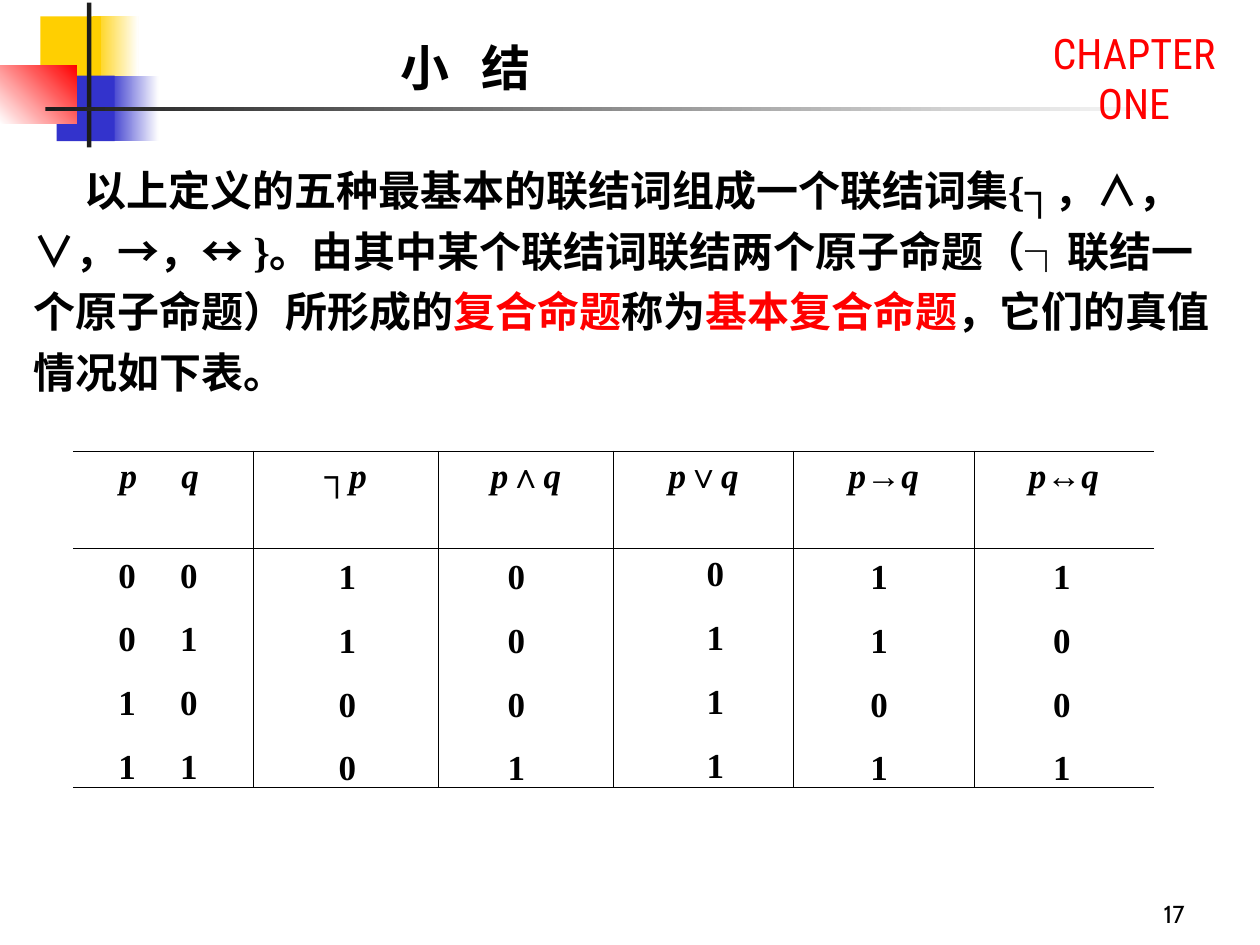
import dataclasses
import itertools

import pptx
import pptx.dml.color
import pptx.enum.shapes
import pptx.enum.text
import pptx.oxml.ns
import pptx.util
from lxml import etree

ALIGN = pptx.enum.text.PP_ALIGN
ANCHOR = pptx.enum.text.MSO_ANCHOR
COLUMNS, ROWS = 100, 75
UNIT = pptx.util.Inches(0.1)


@dataclasses.dataclass(frozen=True)
class Theme:
    """Colours, fonts and type sizes of the deck."""
    black: str = "000000"
    white: str = "FFFFFF"
    red: str = "FF0000"
    yellow: str = "FFCF01"
    blue: str = "3333CC"
    charcoal: str = "1C1C1C"
    serif: str = "Times New Roman"
    sans: str = "Cabin"
    narrow: str = "Roboto Condensed"
    title: int = 28
    body: int = 24
    table: int = 20
    number: int = 14
    rule: float = 0.45


THEME = Theme()


@dataclasses.dataclass(frozen=True)
class Box:
    """A rectangle in grid columns and rows."""
    left: float
    top: float
    width: float
    height: float

    def inside(self, left, top, width, height):
        """Return a box placed relative to this one."""
        return Box(self.left + left, self.top + top, width, height)

    def lengths(self):
        """Return left, top, width and height as slide lengths."""
        return [int(value * UNIT) for value in dataclasses.astuple(self)]


def colour(value):
    """Turn a hexadecimal value into a colour."""
    return pptx.dml.color.RGBColor.from_string(value)


def style_run(span, size, font, ink=THEME.black, bold=False, italic=False):
    """Format one run of text."""
    span.font.size = pptx.util.Pt(size)
    span.font.name = font
    span.font.color.rgb = colour(ink)
    span.font.bold = bold
    span.font.italic = italic


def set_tabs(para, *stops):
    """Give a paragraph left tab stops, in grid columns."""
    tab_list = etree.SubElement(para._p.get_or_add_pPr(), pptx.oxml.ns.qn("a:tabLst"))
    for stop in stops:
        etree.SubElement(tab_list, pptx.oxml.ns.qn("a:tab"), pos=str(int(stop * UNIT)), algn="l")


def add_text(page, box, text, anchor=ANCHOR.TOP):
    """Add a wrapping text box and return its text frame."""
    frame = page.shapes.add_textbox(*box.lengths()).text_frame
    frame.word_wrap = True
    frame.vertical_anchor = anchor
    frame.text = text
    return frame


def add_block(page, box, first, last=None, angle=0):
    """Add a borderless rectangle, plain or with a two-colour gradient."""
    block = page.shapes.add_shape(pptx.enum.shapes.MSO_SHAPE.RECTANGLE, *box.lengths())
    block.shadow.inherit = False
    block.line.fill.background()
    if last is None:
        block.fill.solid()
        block.fill.fore_color.rgb = colour(first)
        return
    block.fill.gradient()
    block.fill.gradient_angle = angle
    for stop, ink in zip(block.fill.gradient_stops, (first, last)):
        stop.color.rgb = colour(ink)


def add_ornament(page, box):
    """Place the coloured squares and the crossing bars."""
    add_block(page, box.inside(7.4, 1.1, 3.6, 5.2), THEME.yellow, THEME.white)
    add_block(page, box.inside(8.6, 5.8, 4, 5.2), THEME.blue, THEME.white)
    add_block(page, box.inside(3.2, 1.1, 4.8, 5.2), THEME.yellow)
    add_block(page, box.inside(4.5, 5.8, 4.6, 5.2), THEME.blue)
    add_block(page, box.inside(0, 5, 6.1, 4.6), THEME.white, THEME.red, angle=45)
    add_block(page, box.inside(6.9, 0, 0.35, 11.5), THEME.charcoal)
    add_block(page, box.inside(3.6, 8.3, 90, 0.35), THEME.charcoal, THEME.white)


def add_title(page, box):
    """Move and format the title placeholder."""
    title = page.shapes.title
    title.left, title.top, title.width, title.height = box.lengths()
    frame = title.text_frame
    frame.text = "小\t结"
    frame.auto_size = pptx.enum.text.MSO_AUTO_SIZE.NONE
    frame.word_wrap = False
    frame.vertical_anchor = ANCHOR.TOP
    para = frame.paragraphs[0]
    para.alignment = ALIGN.LEFT
    set_tabs(para, 6.4)
    style_run(para.runs[0], THEME.title, THEME.sans, bold=True)


def add_label(page, box, text, align, anchor, **style):
    """Place a short label of one style."""
    para = add_text(page, box, text, anchor).paragraphs[0]
    para.alignment = align
    style_run(para.runs[0], **style)


def add_body(page, box):
    """Place the paragraph that introduces the truth table."""
    pieces = [
        ("以上定义的五种最基本的联结词组成一个联结词集{┐，∧，∨，→，↔ }。由其中某个联结词"
         "联结两个原子命题（┐联结一个原子命题）所形成的", THEME.black),
        ("复合命题", THEME.red),
        ("称为", THEME.black),
        ("基本复合命题", THEME.red),
        ("，它们的真值情况如下表。", THEME.black),
    ]
    para = add_text(page, box, "").paragraphs[0]
    para.line_spacing = 1.2
    para._p.get_or_add_pPr().set("indent", str(int(4 * UNIT)))
    for text, ink in pieces:
        span = para.add_run()
        span.text = text
        style_run(span, THEME.body, THEME.serif, ink, bold=True)


def set_borders(cell, visible):
    """Draw the named sides of a cell and hide the others."""
    properties = cell._tc.get_or_add_tcPr()
    for index, side in enumerate("LRTB"):
        line = etree.Element(pptx.oxml.ns.qn("a:ln" + side), w=str(pptx.util.Pt(THEME.rule)))
        if side in visible:
            fill = etree.SubElement(line, pptx.oxml.ns.qn("a:solidFill"))
            etree.SubElement(fill, pptx.oxml.ns.qn("a:srgbClr"), val=THEME.black)
        else:
            etree.SubElement(line, pptx.oxml.ns.qn("a:noFill"))
        properties.insert(index, line)


def add_digits(page, box, lines):
    """Place one column of truth values."""
    frame = add_text(page, box, "\n".join(lines))
    for index, para in enumerate(frame.paragraphs):
        if index:
            para.space_before = pptx.util.Pt(12.5)
        set_tabs(para, 4.9)
        style_run(para.runs[0], THEME.table, THEME.serif, bold=True)


def add_truth_table(page, box):
    """Place the ruled table and its columns of truth values."""
    headings = [["\tp\tq"], ["┐p"], ["p", "∧", "q"], ["p", "∨", "q"], ["p→q"], ["p↔q"]]
    widths = [14.3, 14.7, 13.9, 14.3, 14.3, 14.3]
    table = page.shapes.add_table(2, len(headings), *box.lengths()).table
    table.first_row = table.horz_banding = False
    for row, height in zip(table.rows, (7.7, 19)):
        row.height = int(height * UNIT)
    for index, (width, heading) in enumerate(zip(widths, headings)):
        table.columns[index].width = int(width * UNIT)
        sides = "TB" + "L" * (index > 0) + "R" * (index < len(headings) - 1)
        for row in range(2):
            table.cell(row, index).fill.background()
            set_borders(table.cell(row, index), sides)
        para = table.cell(0, index).text_frame.paragraphs[0]
        para.alignment = ALIGN.CENTER if index else ALIGN.LEFT
        if index == 0:
            set_tabs(para, 2.7, 7.6)
        for text in heading:
            span = para.add_run()
            span.text = text
            style_run(span, THEME.table, THEME.serif, bold=True, italic=text not in "∧∨")

    cases = list(itertools.product((0, 1), repeat=2))
    values = [
        (2.6, 7.6, 10.9, lambda p, q: f"{p}\t{q}"),
        (20.1, 7.7, 6, lambda p, q: 1 - p),
        (33.5, 7.7, 4.4, lambda p, q: p & q),
        (49.3, 7.5, 4.4, lambda p, q: p | q),
        (62.3, 7.7, 5.5, lambda p, q: int(p <= q)),
        (76.8, 7.7, 5.2, lambda p, q: int(p == q)),
    ]
    for left, top, width, rule in values:
        add_digits(page, box.inside(left, top, width, 19.6), [str(rule(*case)) for case in cases])


def main():
    """Build the summary slide and save the deck."""
    deck = pptx.Presentation()
    deck.slide_width, deck.slide_height = COLUMNS * UNIT, ROWS * UNIT
    page = deck.slides.add_slide(deck.slide_layouts[5])
    add_ornament(page, Box(0, 0.2, 93.6, 11.5))
    add_title(page, Box(30.8, 2.5, 12.4, 5.7))
    add_label(page, Box(80, 1.7, 20, 9), "CHAPTER ONE", ALIGN.CENTER, ANCHOR.TOP,
              size=THEME.body, font=THEME.narrow, ink=THEME.red)
    add_label(page, Box(74.2, 69.2, 20.8, 5), "17", ALIGN.RIGHT, ANCHOR.BOTTOM,
              size=THEME.number, font=THEME.sans)
    add_body(page, Box(1.7, 11.8, 95.8, 20.2))
    add_truth_table(page, Box(5.8, 35.8, 85.8, 26.7))
    deck.save("out.pptx")


if __name__ == "__main__":
    main()
